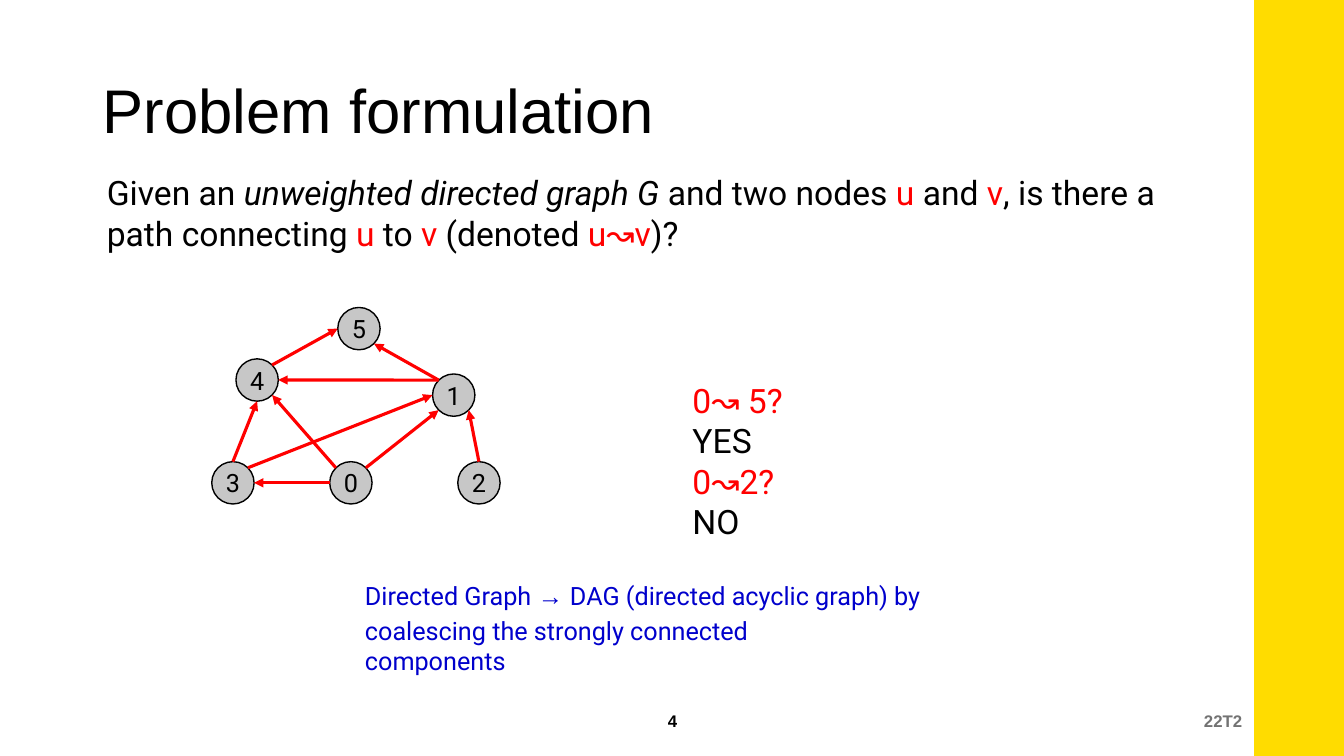
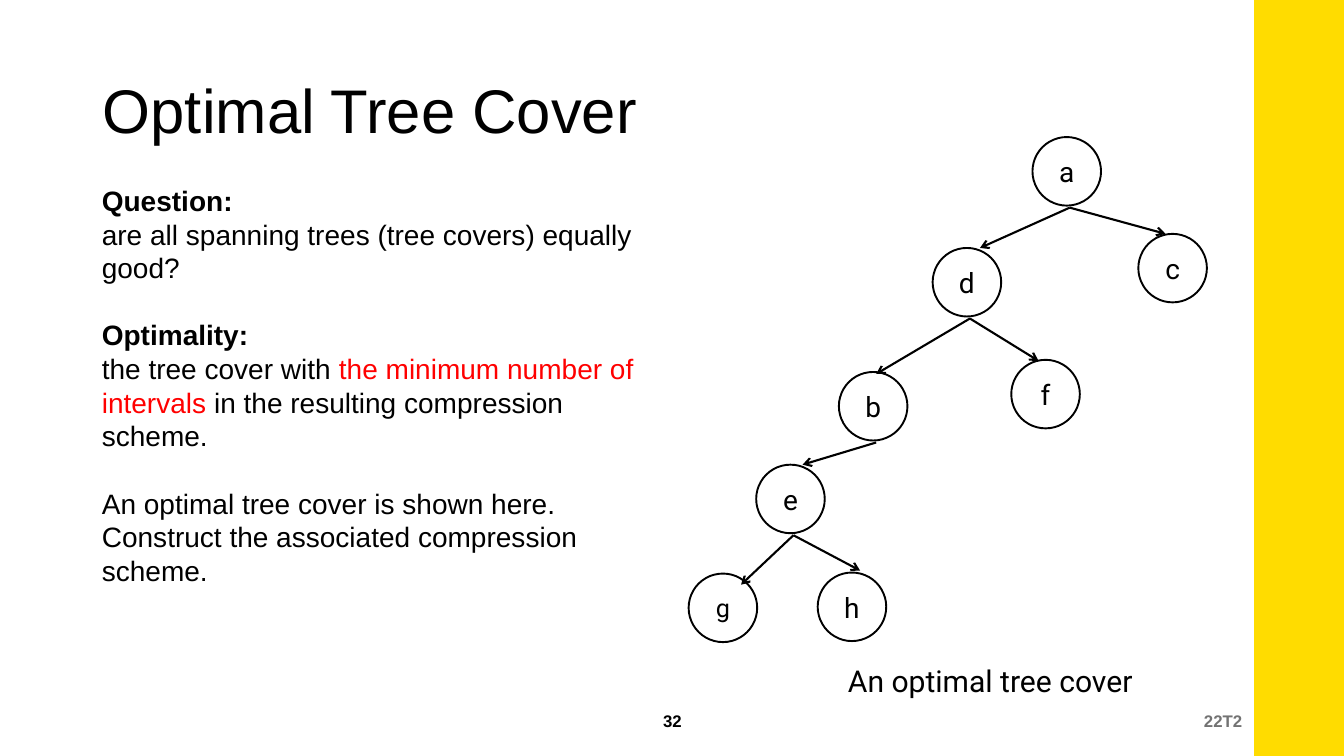
"""Build two slides on reachability in directed graphs."""
import dataclasses
import typing

import lxml.etree
import pptx
import pptx.dml.color
import pptx.enum.shapes
import pptx.enum.text
import pptx.oxml.ns
import pptx.presentation
import pptx.shapes.autoshape
import pptx.slide
import pptx.text.text
import pptx.util

Inches = pptx.util.Inches
Pt = pptx.util.Pt
qn = pptx.oxml.ns.qn
Align = pptx.enum.text.PP_ALIGN
Anchor = pptx.enum.text.MSO_ANCHOR

BLACK = "000000"
RED = "FF0000"
BLUE = "0000CC"
GREY = "737373"
NODE_GREY = "C7C7C7"
YELLOW = "FFDC00"
ARIAL = "Arial"
ROBOTO = "Roboto"


class Box(typing.NamedTuple):
    """Left, top, width and height in inches."""

    left: float
    top: float
    width: float
    height: float

    def lengths(self) -> list[pptx.util.Length]:
        """Return the box as lengths."""
        return [Inches(value) for value in self]


class Point(typing.NamedTuple):
    """A position in inches."""

    x: float
    y: float


@dataclasses.dataclass(frozen=True)
class Run:
    """A piece of text with its own look."""

    text: str
    colour: str = BLACK
    bold: bool = False
    italic: bool = False
    font: str | None = None


@dataclasses.dataclass(frozen=True)
class Style:
    """The look shared by all paragraphs of a text."""

    font: str
    size: float
    align: Align = Align.LEFT
    line_spacing: float | pptx.util.Length | None = None


@dataclasses.dataclass(frozen=True)
class Node:
    """A round graph node."""

    label: str
    left: float
    top: float
    diameter: float
    size: float
    line_width: float
    fill: str | None = None

    def at(self, direction: str) -> Point:
        """Return the point of the rim in a compass direction."""
        radius = self.diameter / 2
        reach = radius * (0.71 if len(direction) == 2 else 1)
        across = ("E" in direction) - ("W" in direction)
        down = ("S" in direction) - ("N" in direction)
        return Point(self.left + radius + across * reach, self.top + radius + down * reach)


class Edge(typing.NamedTuple):
    """A graph edge between two rim points."""

    source: str
    leave: str
    target: str
    enter: str


class Branch(typing.NamedTuple):
    """A tree edge from a parent to a point near its child."""

    parent: str
    end: Point


Paragraphs = list[list[Run]]

TITLE_STYLE = Style(ARIAL, 44, line_spacing=0.9)
FOOTER_STYLE = Style(ARIAL, 12, Align.RIGHT)
NUMBER_STYLE = Style(ARIAL, 12, Align.CENTER)

GRAPH_NODES = {
    label: Node(label, left, top, 0.42, 18, 1, NODE_GREY)
    for label, left, top in [
        ("0", 3.27, 4.58), ("1", 4.29, 3.71), ("2", 4.54, 4.58),
        ("3", 2.1, 4.58), ("4", 2.34, 3.56), ("5", 3.35, 3.05),
    ]
}
GRAPH_EDGES = [
    Edge("0", "W", "3", "E"), Edge("0", "NW", "4", "SE"), Edge("0", "NE", "1", "SW"),
    Edge("1", "NW", "4", "E"), Edge("1", "NW", "5", "SE"), Edge("2", "N", "1", "SE"),
    Edge("3", "N", "4", "S"), Edge("3", "NE", "1", "W"), Edge("4", "NE", "5", "W"),
]
TREE_NODES = {
    label: Node(label, left, top, 0.68, 18 if label == "g" else 20, 1.36)
    for label, left, top in [
        ("a", 10.24, 1.36), ("g", 6.83, 5.69), ("h", 8.11, 5.68), ("c", 11.29, 2.32),
        ("d", 9.25, 2.46), ("f", 10.03, 3.57), ("b", 8.32, 3.69), ("e", 7.5, 4.61),
    ]
}
TREE_BRANCHES = [
    Branch("a", Point(9.72, 2.46)), Branch("a", Point(11.56, 2.32)),
    Branch("d", Point(10.3, 3.58)), Branch("d", Point(8.69, 3.71)),
    Branch("b", Point(7.96, 4.61)), Branch("e", Point(8.53, 5.66)),
    Branch("e", Point(7.35, 5.8)),
]


def rgb(colour: str) -> pptx.dml.color.RGBColor:
    """Turn a hex string into a colour."""
    return pptx.dml.color.RGBColor.from_string(colour)


def write(frame: pptx.text.text.TextFrame, paragraphs: Paragraphs, style: Style,
          inset: float | None = None, anchor: Anchor = Anchor.TOP, wrap: bool = True) -> None:
    """Fill a text frame with styled paragraphs."""
    frame.word_wrap = wrap
    frame.auto_size = pptx.enum.text.MSO_AUTO_SIZE.NONE
    frame.vertical_anchor = anchor
    if inset is not None:
        frame.margin_left = frame.margin_right = Inches(inset)
        frame.margin_top = frame.margin_bottom = Inches(inset)
    for index, pieces in enumerate(paragraphs):
        paragraph = frame.add_paragraph() if index else frame.paragraphs[0]
        paragraph.alignment = style.align
        paragraph.space_before = Pt(0)
        if style.line_spacing is not None:
            paragraph.line_spacing = style.line_spacing
        for piece in pieces:
            run = paragraph.add_run()
            run.text = piece.text
            run.font.name = piece.font or style.font
            run.font.size = Pt(style.size)
            run.font.bold = piece.bold
            run.font.italic = piece.italic
            run.font.color.rgb = rgb(piece.colour)


def add_text(slide: pptx.slide.Slide, box: Box, paragraphs: Paragraphs, style: Style,
             inset: float | None = None, anchor: Anchor = Anchor.TOP) -> None:
    """Add a text box."""
    shape = slide.shapes.add_textbox(*box.lengths())
    write(shape.text_frame, paragraphs, style, inset, anchor)


def fill_placeholder(shape: pptx.shapes.autoshape.Shape, box: Box, paragraphs: Paragraphs,
                     style: Style, inset: float | None = None,
                     anchor: Anchor = Anchor.TOP) -> None:
    """Move a placeholder and fill it."""
    shape.left, shape.top, shape.width, shape.height = box.lengths()
    write(shape.text_frame, paragraphs, style, inset, anchor)


def add_node(slide: pptx.slide.Slide, node: Node) -> None:
    """Draw a labelled circle."""
    box = Box(node.left, node.top, node.diameter, node.diameter)
    shape = slide.shapes.add_shape(pptx.enum.shapes.MSO_SHAPE.OVAL, *box.lengths())
    shape.shadow.inherit = False
    if node.fill:
        shape.fill.solid()
        shape.fill.fore_color.rgb = rgb(node.fill)
    else:
        shape.fill.background()
    shape.line.color.rgb = rgb(BLACK)
    shape.line.width = Pt(node.line_width)
    write(shape.text_frame, [[Run(node.label)]], Style(ROBOTO, node.size, Align.CENTER),
          0, Anchor.MIDDLE, wrap=False)


def add_arrow(slide: pptx.slide.Slide, start: Point, end: Point, colour: str,
              width: float, head: str) -> None:
    """Draw a straight arrow."""
    connector = slide.shapes.add_connector(
        pptx.enum.shapes.MSO_CONNECTOR.STRAIGHT,
        *(Inches(value) for value in (*start, *end)))
    connector.line.color.rgb = rgb(colour)
    connector.line.width = Pt(width)
    properties = connector.element.spPr
    lxml.etree.SubElement(properties.find(qn("a:ln")), qn("a:tailEnd"), type=head)
    lxml.etree.SubElement(properties, qn("a:effectLst"))


def prepare_master(presentation: pptx.presentation.Presentation) -> None:
    """Remove bullets and indents from the body style."""
    styles = presentation.slide_master.element.find(qn("p:txStyles"))
    level = styles.find(qn("p:bodyStyle")).find(qn("a:lvl1pPr"))
    level.set("marL", "0")
    level.set("indent", "0")
    bullet = level.find(qn("a:buChar"))
    level.replace(bullet, level.makeelement(qn("a:buNone")))


def add_band(presentation: pptx.presentation.Presentation, slide: pptx.slide.Slide) -> None:
    """Put the side band on the slide master."""
    box = Box(12.44, 0, 0.9, 7.5)
    band = slide.shapes.add_shape(pptx.enum.shapes.MSO_SHAPE.RECTANGLE, *box.lengths())
    band.shadow.inherit = False
    band.fill.solid()
    band.fill.fore_color.rgb = rgb(YELLOW)
    band.line.fill.background()
    presentation.slide_master.shapes.element.insert(2, band.element)


def add_slide(presentation: pptx.presentation.Presentation, title: str,
              number: str) -> pptx.slide.Slide:
    """Add a slide with title and footers."""
    slide = presentation.slides.add_slide(presentation.slide_layouts[1])
    fill_placeholder(slide.shapes.title, Box(0.92, 0.4, 11.5, 1.45), [[Run(title)]],
                     TITLE_STYLE, anchor=Anchor.MIDDLE)
    add_text(slide, Box(7.92, 6.95, 4.5, 0.4), [[Run("22T2", GREY, bold=True)]],
             FOOTER_STYLE, anchor=Anchor.MIDDLE)
    add_text(slide, Box(5.17, 6.95, 3, 0.4), [[Run(number, bold=True)]],
             NUMBER_STYLE, anchor=Anchor.MIDDLE)
    return slide


def build_problem(slide: pptx.slide.Slide) -> None:
    """Draw the reachability problem and its graph."""
    question = [
        Run("Given an "), Run("unweighted directed graph G ", italic=True),
        Run("and two nodes "), Run("u ", RED), Run("and "), Run("v", RED),
        Run(", is there a path connecting "), Run("u ", RED), Run("to "), Run("v ", RED),
        Run("(denoted "), Run("u↝v", RED), Run(")?"),
    ]
    fill_placeholder(slide.placeholders[1], Box(1.06, 1.71, 10.7, 0.82), [question],
                     Style(ROBOTO, 24), 0)
    answers = [[Run("0↝ 5?", RED)], [Run("YES")], [Run("0↝2?", RED)], [Run("NO")]]
    add_text(slide, Box(6.77, 3.72, 1.83, 1.75), answers, Style(ROBOTO, 24))
    for node in GRAPH_NODES.values():
        add_node(slide, node)
    for edge in GRAPH_EDGES:
        add_arrow(slide, GRAPH_NODES[edge.source].at(edge.leave),
                  GRAPH_NODES[edge.target].at(edge.enter), RED, 2.25, "triangle")
    summary = [Run("Directed Graph ", BLUE), Run("→ ", BLUE, font=ARIAL),
               Run("DAG (directed acyclic graph) by", BLUE)]
    method = [Run("coalescing the strongly connected components", BLUE)]
    for box, pieces in [(Box(3.62, 5.76, 5.8, 0.28), summary),
                        (Box(3.62, 6.1, 5.1, 0.6), method)]:
        add_text(slide, box, [pieces], Style(ROBOTO, 18), 0)


def build_cover(slide: pptx.slide.Slide) -> None:
    """Draw the optimality question and the tree cover."""
    paragraphs = [
        [Run("Question:", bold=True)],
        [Run("are all spanning trees (tree covers) equally good?")],
        [Run("Optimality:", bold=True)],
        [Run("the tree cover with "), Run("the minimum number of intervals ", RED),
         Run("in the resulting compression scheme.")],
        [Run("An optimal tree cover is shown here. Construct the associated compression scheme.")],
    ]
    body = slide.placeholders[1]
    fill_placeholder(body, Box(0.91, 1.77, 5.9, 5), paragraphs,
                     Style(ARIAL, 20, line_spacing=Pt(24)))
    for index in (2, 4):
        body.text_frame.paragraphs[index].space_before = Pt(24)
    for node in TREE_NODES.values():
        add_node(slide, node)
    for branch in TREE_BRANCHES:
        bottom = TREE_NODES[branch.parent].at("S")
        start = Point(bottom.x + 0.03, bottom.y + 0.02)
        add_arrow(slide, start, branch.end, BLACK, 1.5, "arrow")
    add_text(slide, Box(8.41, 6.57, 3.72, 0.38), [[Run("An optimal tree cover")]],
             Style(ROBOTO, 21.5), 0)


def main() -> None:
    """Build and save the presentation."""
    presentation = pptx.Presentation()
    presentation.slide_width = Inches(13.33)
    presentation.slide_height = Inches(7.5)
    prepare_master(presentation)
    problem = add_slide(presentation, "Problem formulation", "4")
    add_band(presentation, problem)
    build_problem(problem)
    build_cover(add_slide(presentation, "Optimal Tree Cover", "32"))
    presentation.save("out.pptx")


if __name__ == "__main__":
    main()
